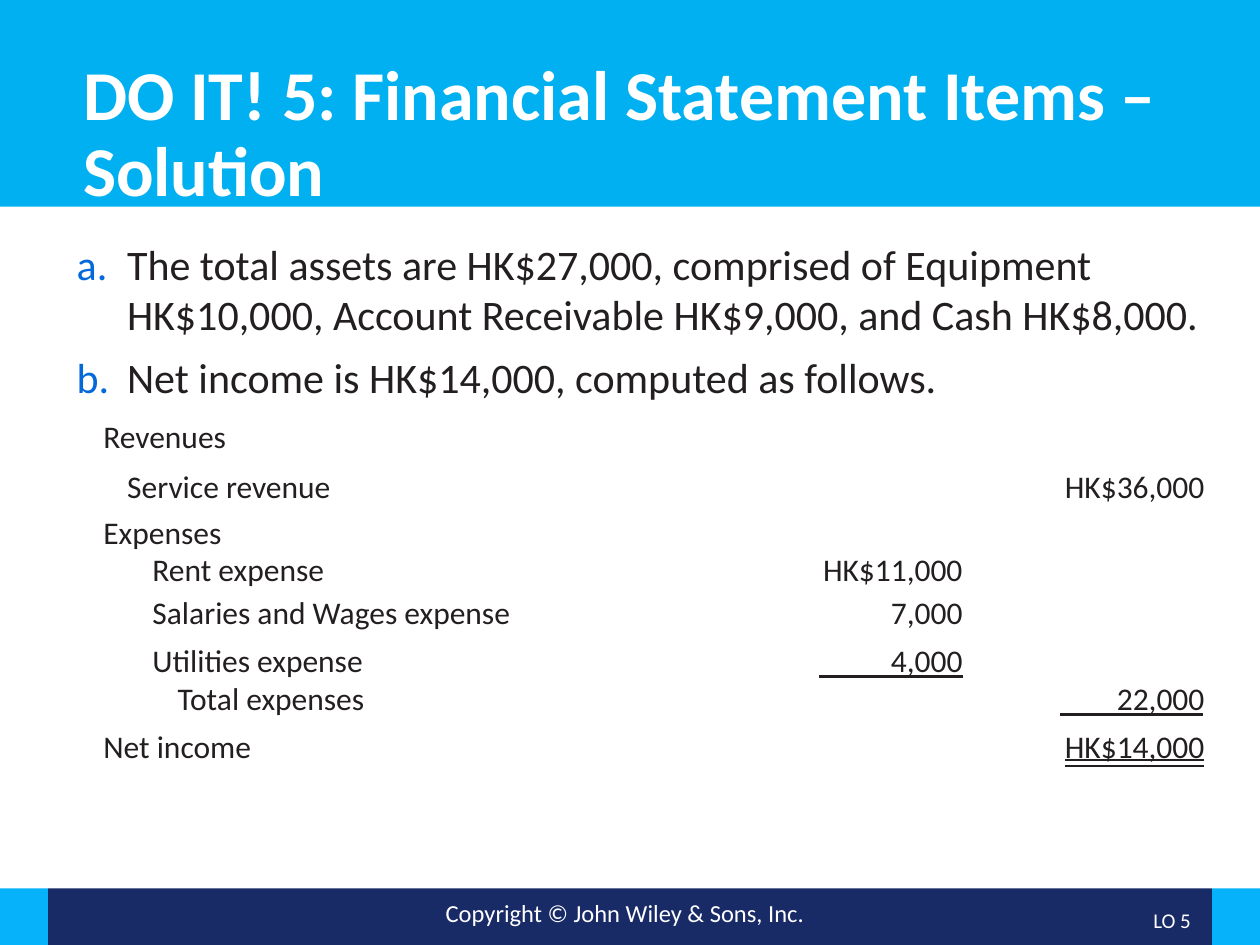
from lxml import etree
from pptx import Presentation
from pptx.dml.color import RGBColor
from pptx.enum.shapes import MSO_CONNECTOR as Connector, MSO_SHAPE as Preset
from pptx.enum.text import MSO_ANCHOR as Anchor, MSO_UNDERLINE as Underline, PP_ALIGN as Align
from pptx.oxml.ns import qn
from pptx.util import Inches, Pt

SKY, CYAN, NAVY = "00B0F0", "06B2FA", "192B67"
INK, WHITE, BLUE = "231F20", "FFFFFF", "0469D8"
TITLE = dict(size=Pt(40), bold=True)
BODY = dict(size=Pt(24))
LEDGER = dict(size=Pt(18))
FOOTNOTE = dict(size=Pt(14))
OBJECTIVE = dict(size=Pt(12))

ANSWERS = [
    "The total assets are HK$27,000, comprised of Equipment HK$10,000, "
    "Account Receivable HK$9,000, and Cash HK$8,000.",
    "Net income is HK$14,000, computed as follows.",
]
STATEMENT = [
    ("Revenues", 0, "", "", 0.4),
    ("Service revenue", 0.19, "", "HK$36,000", 0.36),
    ("Expenses", 0, "", "", 0.3),
    ("Rent expense", 0.39, "HK$11,000", "", 0.34),
    ("Salaries and Wages expense", 0.39, "7,000", "", 0.38),
    ("Utilities expense", 0.39, "4,000", "", 0.3),
    ("Total expenses", 0.59, "", "22,000", 0.38),
    ("Net income", 0, "", "HK$14,000", 0.38),
]
COLUMNS = [4.9, 1.92, 1.92]
SUM_RULES = [(7.64, 5.37), (9.55, 5.67)]
SUM_RULE_WIDTH = 1.14


def rgb(value):
    return RGBColor.from_string(value)


def inches(box):
    return [Inches(length) for length in box]


def write(paragraph, text, style, color, align=Align.LEFT):
    paragraph.alignment = align
    run = paragraph.add_run()
    run.text = text
    run.font.name = "Calibri"
    run.font.color.rgb = rgb(color)
    for key, value in style.items():
        setattr(run.font, key, value)
    return run


def add_band(slide, box, color):
    band = slide.shapes.add_shape(Preset.RECTANGLE, *inches(box))
    band.shadow.inherit = False
    band.fill.solid()
    band.fill.fore_color.rgb = rgb(color)
    band.line.fill.background()


def add_label(slide, box, text, style, align, anchor=Anchor.TOP):
    frame = slide.shapes.add_textbox(*inches(box)).text_frame
    frame.word_wrap = True
    frame.vertical_anchor = anchor
    write(frame.paragraphs[0], text, style, WHITE, align)


def add_header(slide, band_box, title_box):
    add_band(slide, band_box, SKY)
    title = slide.shapes.title
    slide.shapes._spTree.append(title._element)
    title.left, title.top, title.width, title.height = inches(title_box)
    title.text_frame.word_wrap = True
    title.text_frame.vertical_anchor = Anchor.TOP
    heading = title.text_frame.paragraphs[0]
    heading.line_spacing = 0.9
    write(heading, "DO IT! 5: Financial Statement Items – Solution", TITLE, WHITE)


def add_letter(paragraph):
    properties = paragraph._p.get_or_add_pPr()
    properties.set("marL", str(Inches(0.4)))
    properties.set("indent", str(-Inches(0.4)))
    bullet_color = etree.SubElement(properties, qn("a:buClr"))
    etree.SubElement(bullet_color, qn("a:srgbClr"), val=BLUE)
    etree.SubElement(properties, qn("a:buFont"), typeface="+mj-lt")
    etree.SubElement(properties, qn("a:buAutoNum"), type="alphaLcPeriod")


def add_answers(slide, box):
    frame = slide.shapes.add_textbox(*inches(box)).text_frame
    frame.word_wrap = True
    for index, answer in enumerate(ANSWERS):
        paragraph = frame.add_paragraph() if index else frame.paragraphs[0]
        add_letter(paragraph)
        if index:
            paragraph.space_before = Pt(7.5)
        write(paragraph, answer, BODY, INK)


def add_statement(slide, box):
    table = slide.shapes.add_table(len(STATEMENT), len(COLUMNS), *inches(box)).table
    table.first_row = table.horz_banding = False
    for column, width in zip(table.columns, COLUMNS):
        column.width = Inches(width)
    for row, (item, indent, detail, total, height) in zip(table.rows, STATEMENT):
        row.height = Inches(height)
        for index, (cell, text) in enumerate(zip(row.cells, (item, detail, total))):
            cell.fill.background()
            for side in ("left", "right", "top", "bottom"):
                setattr(cell, f"margin_{side}", 0)
            paragraph = cell.text_frame.paragraphs[0]
            paragraph.font.size = LEDGER["size"]
            if index == 0:
                cell.margin_left = Inches(indent)
            if text:
                amount = write(paragraph, text, LEDGER, INK, Align.RIGHT if index else Align.LEFT)
                if item == "Net income" and index:
                    amount.font.underline = Underline.DOUBLE_LINE


def add_sum_rule(slide, right, top):
    ends = inches((right - SUM_RULE_WIDTH, top, right, top))
    rule = slide.shapes.add_connector(Connector.STRAIGHT, *ends)
    rule.line.color.rgb = rgb(INK)
    rule.line.width = Pt(2)
    etree.SubElement(rule._element.spPr, qn("a:effectLst"))


def add_footer(slide, box):
    left, top, width, height = box
    edge = 0.38
    add_band(slide, (left + edge, top, width - 2 * edge, height), NAVY)
    for edge_left in (left, left + width - edge):
        add_band(slide, (edge_left, top, edge, height), CYAN)
    add_label(slide, (left + 2.5, top + 0.03, 4.92, 0.34),
              "Copyright © John Wiley & Sons, Inc.", FOOTNOTE, Align.CENTER)
    add_label(slide, (left + 8.73, top + 0.06, 0.82, 0.39),
              "LO 5", OBJECTIVE, Align.RIGHT, Anchor.MIDDLE)


def main():
    deck = Presentation()
    deck.slide_width, deck.slide_height = Inches(10), Inches(7.5)
    slide = deck.slides.add_slide(deck.slide_layouts[5])
    add_footer(slide, (0, 7.05, 10, 0.45))
    add_header(slide, (0, 0, 10, 1.64), (0.56, 0.43, 8.88, 0.93))
    add_answers(slide, (0.51, 1.84, 9.25, 1.44))
    add_statement(slide, (0.82, 3.32, sum(COLUMNS), 2.84))
    for right, top in SUM_RULES:
        add_sum_rule(slide, right, top)
    deck.save("out.pptx")


if __name__ == "__main__":
    main()
